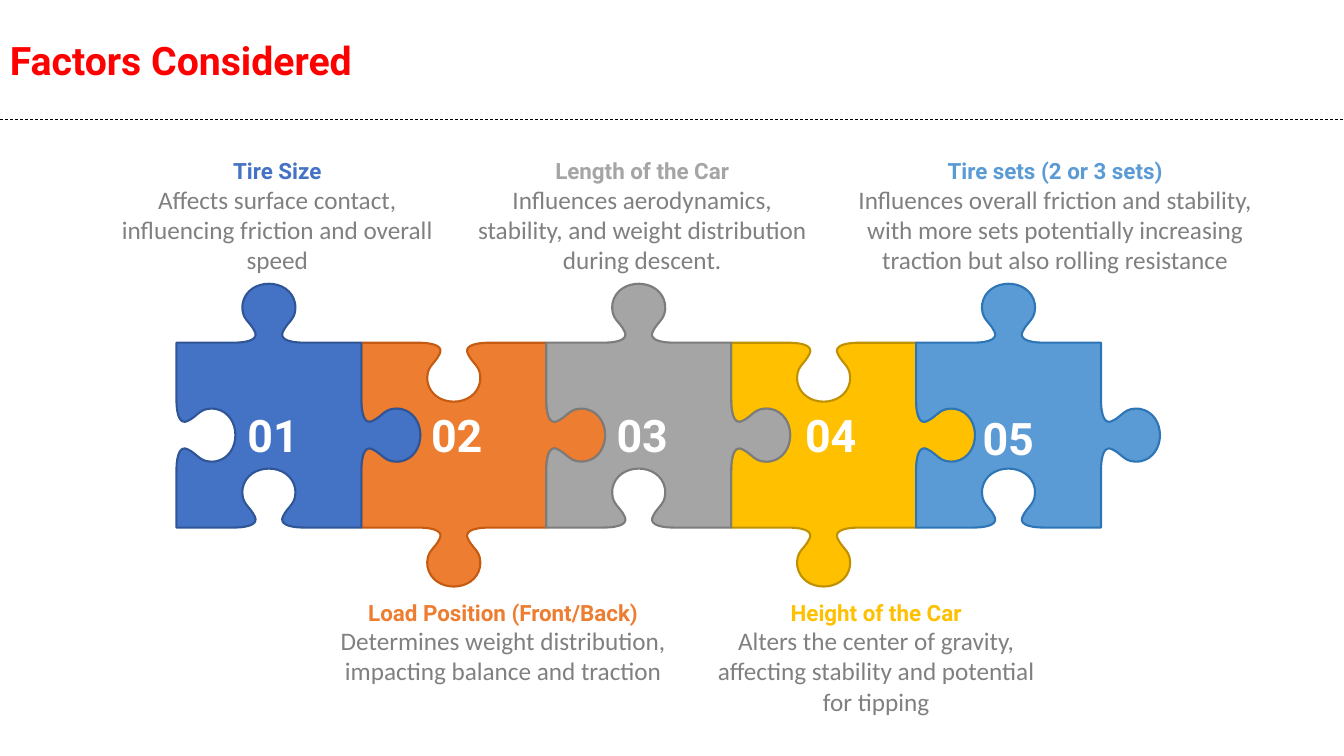
from collections import namedtuple

from lxml.etree import SubElement
from pptx import Presentation
from pptx.dml.color import RGBColor
from pptx.enum.dml import MSO_LINE
from pptx.enum.shapes import MSO_CONNECTOR
from pptx.enum.text import MSO_ANCHOR, MSO_AUTO_SIZE, PP_ALIGN
from pptx.oxml.ns import qn
from pptx.util import Inches, Pt

ROW_LEFT, ROW_RIGHT, ROW_TOP = 1.75, 10.92, 3.4
SIDE = (ROW_RIGHT - ROW_LEFT) / 5
HALF_KNOB = [(-0.36, 0), (-0.16, 0), (-0.11, 0.05), (-0.14, 0.11),
             (-0.19, 0.22), (-0.28, 0.23), (-0.26, 0.39), (-0.21, 0.65)]
KNOB = HALF_KNOB + [(-along, out) for along, out in reversed(HALF_KNOB)]

Factor = namedtuple(
    "Factor", "heading detail fill outline number_at caption_left caption_width")
FACTORS = [
    Factor("Tire Size",
           "Affects surface contact, influencing friction and overall speed",
           "4472C4", "2F5597", (2.45, 4.04), 0.98, 3.54),
    Factor("Load Position (Front/Back)",
           "Determines weight distribution, impacting balance and traction",
           "ED7D31", "C55A11", (4.27, 4.04), 3.22, 3.54),
    Factor("Length of the Car",
           "Influences aerodynamics, stability, and weight distribution during descent.",
           "A5A5A5", "7C7C7C", (6.11, 4.04), 4.6, 3.54),
    Factor("Height of the Car",
           "Alters the center of gravity, affecting stability and potential for tipping",
           "FFC000", "BF9000", (7.98, 4.04), 6.92, 3.54),
    Factor("Tire sets (2 or 3 sets)",
           "Influences overall friction and stability, with more sets potentially "
           "increasing traction but also rolling resistance",
           "5B9BD5", "2E75B6", (9.74, 4.07), 8.38, 4.17),
]


def color(hex_string):
    """Turn a hex string into a colour."""
    return RGBColor.from_string(hex_string)


def piece_outline(left, top, knob_up):
    """List each side's corner and knob points, clockwise."""
    vertical = 1 if knob_up else -1
    corner_x, corner_y = left, top
    outline = []
    for (dx, dy), sign in zip([(1, 0), (0, 1), (-1, 0), (0, -1)],
                              [vertical, 1, -vertical, -1]):
        outline.append((corner_x, corner_y))
        for along, outward in KNOB:
            run, rise = SIDE / 2 + along, sign * outward
            outline.append((corner_x + dx * run + dy * rise,
                            corner_y + dy * run - dx * rise))
        corner_x, corner_y = corner_x + dx * SIDE, corner_y + dy * SIDE
    return [(Inches(x), Inches(y)) for x, y in outline]


def round_knobs(piece):
    """Join every three knob points into one Bezier curve."""
    contour = next(piece._element.iter(qn("a:path")))
    curve = None
    for order, segment in enumerate(contour.findall(qn("a:lnTo")), start=1):
        place = order % (len(KNOB) + 1) - 2
        if place < 0:
            continue
        if place % 3 == 0:
            segment.tag = qn("a:cubicBezTo")
            curve = segment
        else:
            curve.append(segment[0])
            contour.remove(segment)


def add_piece(slide, index, factor):
    """Draw one puzzle piece in the row."""
    outline = piece_outline(ROW_LEFT + index * SIDE, ROW_TOP, index % 2 == 0)
    builder = slide.shapes.build_freeform(*outline[0])
    builder.add_line_segments(outline[1:], close=True)
    piece = builder.convert_to_shape()
    round_knobs(piece)
    piece.shadow.inherit = False
    piece.fill.solid()
    piece.fill.fore_color.rgb = color(factor.fill)
    piece.line.color.rgb = color(factor.outline)
    piece.line.width = Pt(1.5)


def add_text(slide, left, top, width, height, lines, align=PP_ALIGN.CENTER):
    """Add a text box from (text, font, size, colour, bold) lines."""
    box = slide.shapes.add_textbox(*map(Inches, (left, top, width, height)))
    frame = box.text_frame
    frame.word_wrap = True
    frame.auto_size = MSO_AUTO_SIZE.SHAPE_TO_FIT_TEXT
    frame.text = "\n".join(line[0] for line in lines)
    for paragraph, (_, font_name, size, hex_string, bold) in zip(frame.paragraphs, lines):
        paragraph.alignment = align
        font = paragraph.runs[0].font
        font.name, font.size, font.bold = font_name, Pt(size), bold
        font.color.rgb = color(hex_string)
    return frame


def add_number(slide, index, factor):
    """Write the piece's two-digit number."""
    frame = add_text(slide, *factor.number_at, 0.52, 0.54,
                     [(f"{index + 1:02}", "Roboto", 32, "FFFFFF", True)])
    frame.word_wrap = False
    frame.vertical_anchor = MSO_ANCHOR.BOTTOM
    frame.margin_left = frame.margin_right = frame.margin_top = frame.margin_bottom = 0


def add_caption(slide, index, factor):
    """Write the factor's heading and detail above or below its piece."""
    top = 5.89 if index % 2 else 1.51
    add_text(slide, factor.caption_left, top, factor.caption_width, 1.28,
             [(factor.heading, "Roboto", 16, factor.fill, True),
              (factor.detail, "Calibri", 18, "808080", False)])


def add_divider(slide, width):
    """Draw the dashed line under the title."""
    divider = slide.shapes.add_connector(
        MSO_CONNECTOR.STRAIGHT, 0, Inches(1.18), width, Inches(1.18))
    divider.line.color.rgb = color("000000")
    divider.line.width = Pt(0.5)
    divider.line.dash_style = MSO_LINE.DASH
    SubElement(divider._element.spPr, qn("a:effectLst"))


def main():
    """Build the slide and save it."""
    deck = Presentation()
    deck.slide_width, deck.slide_height = Inches(13.33), Inches(7.5)
    slide = deck.slides.add_slide(deck.slide_layouts[6])
    add_divider(slide, deck.slide_width)
    add_text(slide, 0, 0.31, 12.46, 0.57,
             [("Factors Considered", "Roboto", 28, "FF0000", True)], PP_ALIGN.LEFT)
    numbered = list(enumerate(FACTORS))
    for index, factor in numbered[1::2] + numbered[::2]:
        add_piece(slide, index, factor)
    for index, factor in numbered:
        add_number(slide, index, factor)
        add_caption(slide, index, factor)
    deck.save("out.pptx")


if __name__ == "__main__":
    main()
